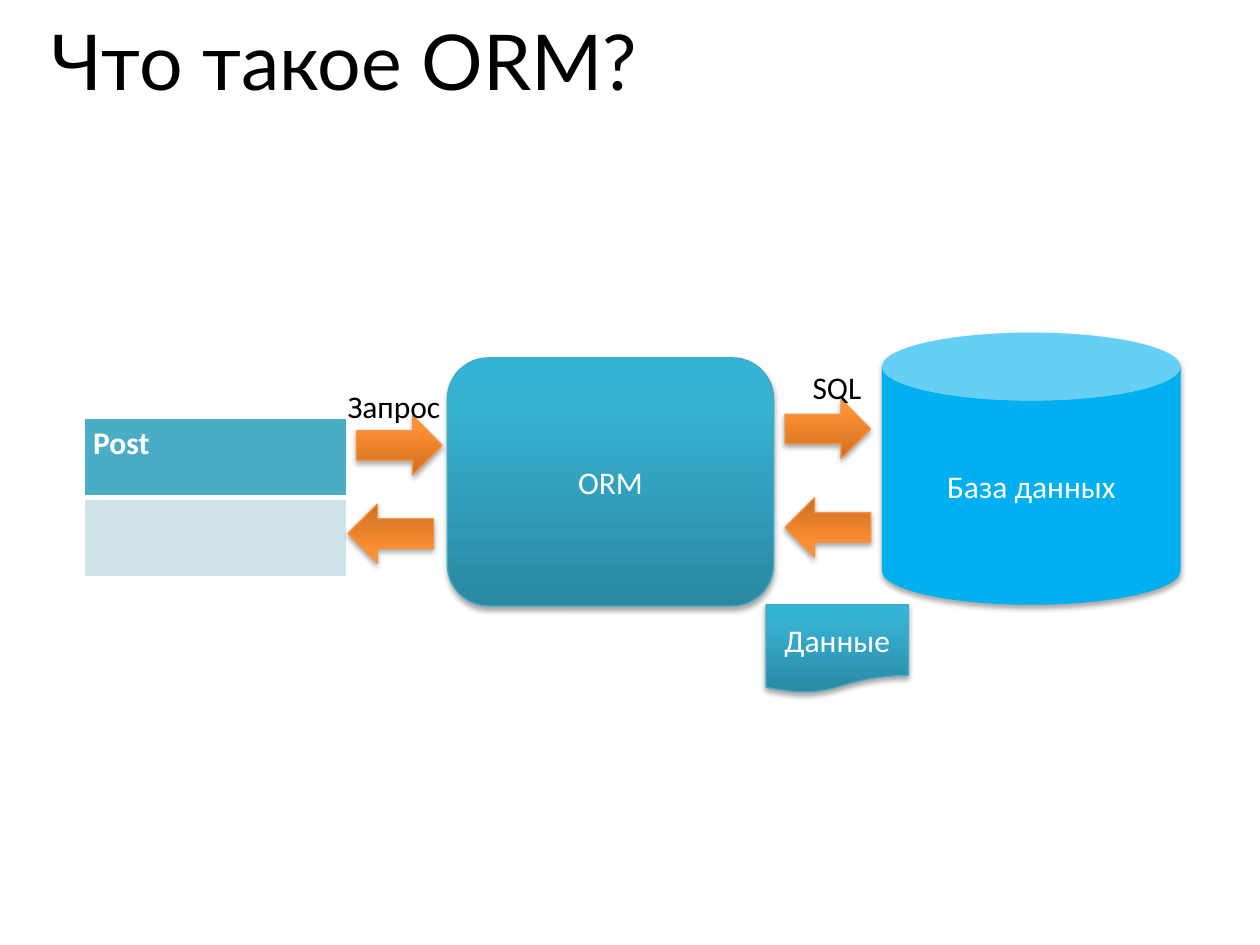
from dataclasses import dataclass

from lxml.etree import SubElement
from pptx import Presentation
from pptx.dml.color import RGBColor
from pptx.enum.shapes import MSO_SHAPE
from pptx.enum.text import MSO_ANCHOR, MSO_AUTO_SIZE, PP_ALIGN
from pptx.oxml.ns import qn
from pptx.util import Inches, Pt


@dataclass(frozen=True)
class Theme:
    """Colours, fonts and type sizes of the slide."""
    heading_font: str = "Lato"
    body_font: str = "Calibri"
    heading_size: int = 44
    body_size: int = 18
    dark: str = "000000"
    light: str = "FFFFFF"
    database: str = "00B0F0"
    table_head: str = "4BACC6"
    table_row: str = "D0E3EA"
    teal: tuple = ("2A88A2", "37B1D2", "34B4D6")
    teal_line: str = "46AAC5"
    orange: tuple = ("CC6E20", "FF9034", "FF9136")
    orange_line: str = "F69240"


@dataclass(frozen=True)
class Box:
    """A box on a grid of 100 columns and 75 rows."""
    column: float
    row: float
    columns: float
    rows: float

    def inner(self, column, row, columns, rows):
        """Return a box placed from this box's corner."""
        return Box(self.column + column, self.row + row, columns, rows)

    def place(self):
        """Return left, top, width and height as lengths."""
        return [Inches(n / 10) for n in (self.column, self.row, self.columns, self.rows)]


THEME = Theme()


def add_element(parent, tag, **attributes):
    """Append a drawing element with its attributes."""
    element = SubElement(parent, qn(tag))
    for name, value in attributes.items():
        element.set(name, str(value))
    return element


def add_run(frame, words, color, size=THEME.body_size, font=THEME.body_font, bold=False):
    """Add one formatted run to the first paragraph."""
    run = frame.paragraphs[0].add_run()
    run.text = words
    run.font.name = font
    run.font.size = Pt(size)
    run.font.bold = bold
    run.font.color.rgb = RGBColor.from_string(color)


def fill_gradient(shape, colors):
    """Fill a shape with a three-stop gradient that rises from the bottom."""
    shape.fill.gradient()
    gradient = shape.element.spPr.find(qn("a:gradFill"))
    for child in list(gradient):
        gradient.remove(child)
    stops = add_element(gradient, "a:gsLst")
    for position, color in zip((0, 80000, 100000), colors):
        stop = add_element(stops, "a:gs", pos=position)
        add_element(stop, "a:srgbClr", val=color)
    add_element(gradient, "a:lin", ang=16200000, scaled=0)


def cast_shadow(shape):
    """Give a shape a soft shadow below it."""
    shape.shadow.inherit = False
    effects = shape.element.spPr.find(qn("a:effectLst"))
    shadow = add_element(effects, "a:outerShdw", blurRad=40000, dist=23000,
                         dir=5400000, rotWithShape=0)
    color = add_element(shadow, "a:srgbClr", val=THEME.dark)
    add_element(color, "a:alpha", val=35000)


def add_block(slide, box, kind, colors, line=None, words=None):
    """Draw a shaded block with an optional centred caption."""
    block = slide.shapes.add_shape(kind, *box.place())
    if line:
        fill_gradient(block, colors)
        block.line.color.rgb = RGBColor.from_string(line)
        block.line.width = Pt(0.75)
    else:
        block.fill.solid()
        block.fill.fore_color.rgb = RGBColor.from_string(colors)
        block.line.fill.background()
    cast_shadow(block)
    if words:
        block.text_frame.vertical_anchor = MSO_ANCHOR.MIDDLE
        block.text_frame.paragraphs[0].alignment = PP_ALIGN.CENTER
        add_run(block.text_frame, words, THEME.light)
    return block


def add_heading(slide, box, words):
    """Fill and place the title placeholder."""
    heading = slide.shapes.title
    heading.left, heading.top, heading.width, heading.height = box.place()
    frame = heading.text_frame
    frame.vertical_anchor = MSO_ANCHOR.TOP
    frame.auto_size = MSO_AUTO_SIZE.NONE
    frame.paragraphs[0].alignment = PP_ALIGN.LEFT
    frame.paragraphs[0].line_spacing = 0.8
    add_run(frame, words, THEME.dark, THEME.heading_size, THEME.heading_font)


def add_model(slide, box, name):
    """Draw the model table with a named header and an empty row."""
    model = slide.shapes.add_table(2, 1, *box.place()).table
    model.horz_banding = False
    for index, color in enumerate((THEME.table_head, THEME.table_row)):
        cell = model.cell(index, 0)
        properties = cell._tc.get_or_add_tcPr()
        for side in "LRTB":
            heavy = (index, side) in ((0, "B"), (1, "T"))
            border = add_element(properties, f"a:ln{side}", w=Pt(3 if heavy else 1))
            add_element(add_element(border, "a:solidFill"), "a:srgbClr", val=THEME.light)
        cell.fill.solid()
        cell.fill.fore_color.rgb = RGBColor.from_string(color)
        cell.margin_left = cell.margin_right = Inches(0.07)
    add_run(model.cell(0, 0).text_frame, name, THEME.light, bold=True)


def add_exchange(slide, box, words, caption, request, reply):
    """Draw a captioned request arrow and the reply arrow below it."""
    for (column, row), turn in ((request, 0), (reply, 180)):
        arrow = add_block(slide, box.inner(column, row, 6.8, 4.7),
                          MSO_SHAPE.RIGHT_ARROW, THEME.orange, THEME.orange_line)
        arrow.rotation = turn
    label = slide.shapes.add_textbox(*box.inner(caption, 0, box.columns - caption, 4).place())
    label.text_frame.word_wrap = False
    label.text_frame.auto_size = MSO_AUTO_SIZE.SHAPE_TO_FIT_TEXT
    add_run(label.text_frame, words, THEME.dark)


def build_slide(deck):
    """Lay out the path from model to database."""
    slide = deck.slides.add_slide(deck.slide_layouts[5])
    add_heading(slide, Box(3.1, 2, 94.5, 11.6), "Что такое ORM?")
    add_block(slide, Box(70, 26.4, 23.7, 21.6), MSO_SHAPE.CAN,
              THEME.database, words="База данных")
    add_model(slide, Box(6.7, 33.2, 20.8, 12.6), "Post")
    add_block(slide, Box(35.5, 28.4, 25.9, 19.7), MSO_SHAPE.ROUNDED_RECTANGLE,
              THEME.teal, THEME.teal_line, "ORM")
    add_exchange(slide, Box(62.3, 28.7, 7.1, 15.5), "SQL", 1.2, (0, 3), (0, 10.8))
    add_block(slide, Box(60.8, 48, 11.3, 7), MSO_SHAPE.FLOWCHART_DOCUMENT,
              THEME.teal, THEME.teal_line, "Данные")
    add_exchange(slide, Box(26.6, 30.2, 9.5, 14.5), "Запрос", 0, (1.7, 2.8), (1, 9.8))


deck = Presentation()
deck.slide_width, deck.slide_height = Inches(10), Inches(7.5)
build_slide(deck)
deck.save("out.pptx")
